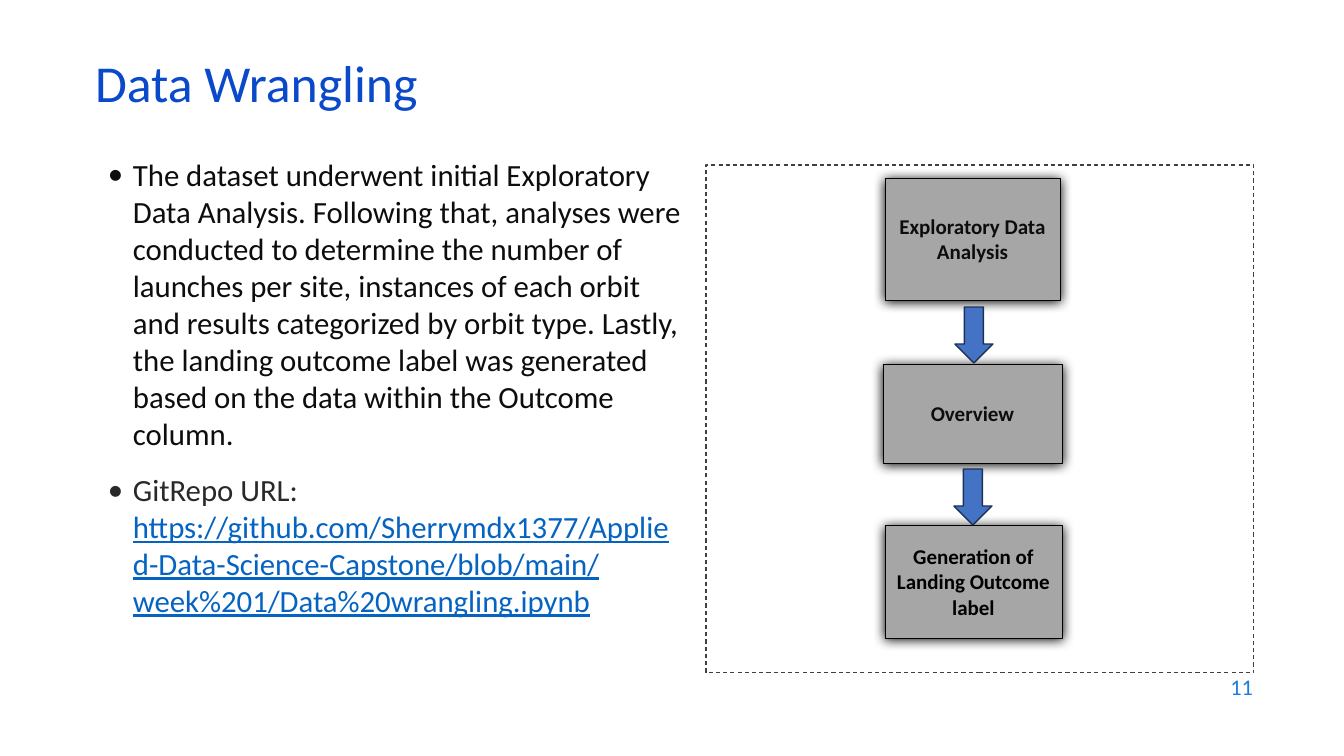
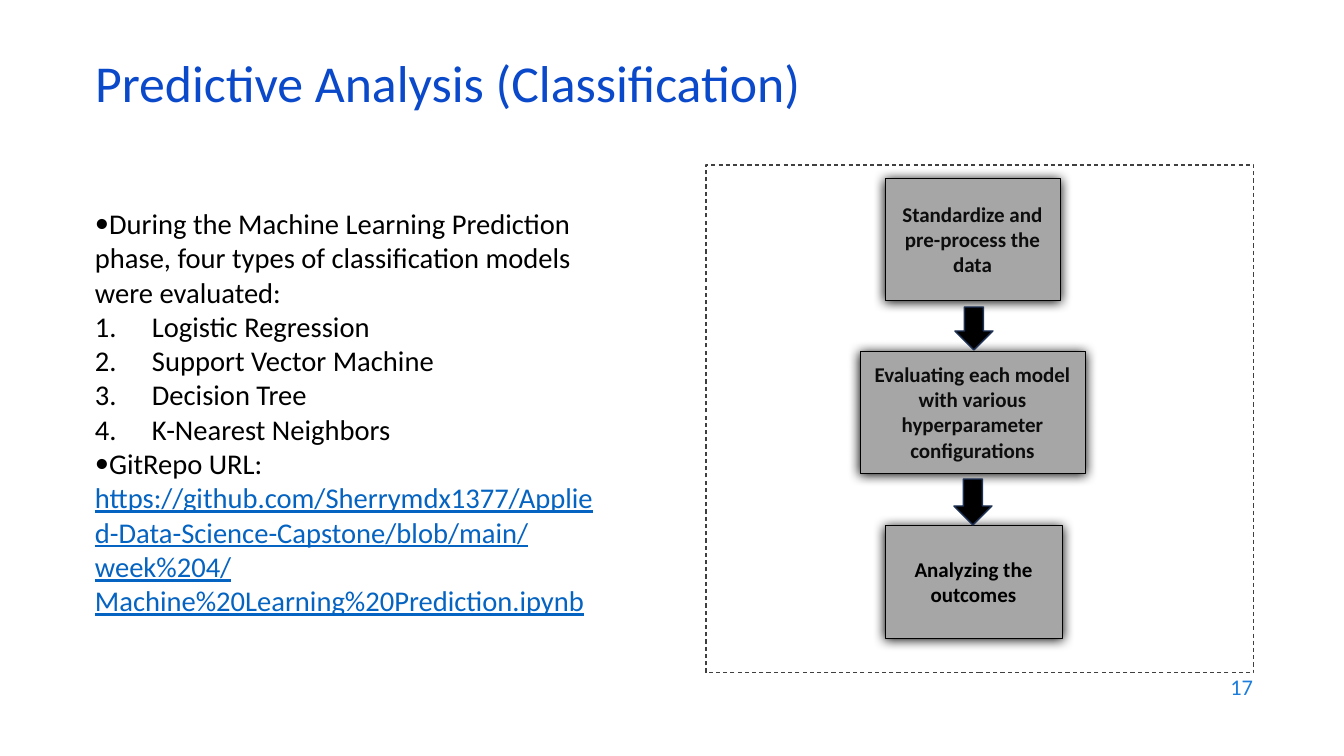
from lxml.etree import SubElement
from pptx import Presentation
from pptx.dml.color import RGBColor
from pptx.enum.dml import MSO_LINE
from pptx.enum.shapes import MSO_SHAPE as SHAPE
from pptx.enum.text import MSO_ANCHOR as ANCHOR, MSO_AUTO_SIZE, PP_ALIGN as ALIGN
from pptx.oxml.ns import qn
from pptx.util import Emu, Pt

REPO = "https://github.com/Sherrymdx1377/Applied-Data-Science-Capstone/blob/main/"
BLACK, INK, GREY_INK = "000000", "0D0D0D", "292929"
BLUE, LINK, NUMBER = "0B49CB", "0563C1", "1C7DDB"
BOX_FILL, FRAME_LINE = "A6A6A6", "404040"
ARROW_BLUE, ARROW_LINE = "4472C4", "1E3256"


def px(n):
    return Emu(round(n * 914400 / 100.8))


def rgb(value):
    return RGBColor.from_string(value)


def add_run(p, text, size=15, color=BLACK, bold=False, underline=False):
    r = p.add_run()
    r.text = text
    font = r.font
    font.name, font.size, font.bold = "Calibri", Pt(size), bold
    font.underline = underline
    font.color.rgb = rgb(color)


def set_bullet(p, bullet, left, hang):
    """Put a bullet character, or automatic numbers for "1.", before p."""
    pPr = p._p.get_or_add_pPr()
    pPr.set("marL", str(px(left)))
    pPr.set("indent", str(-px(hang)))
    if bullet == "1.":
        SubElement(pPr, qn("a:buAutoNum"), type="arabicPeriod")
    else:
        SubElement(pPr, qn("a:buFont"), typeface="Calibri")
        SubElement(pPr, qn("a:buChar"), char=bullet)


class Deck:
    """Holds the presentation, its style and the current slide."""

    def __init__(self):
        self.prs = Presentation()
        self.prs.slide_width, self.prs.slide_height = px(1344), px(756)

    def new_slide(self, title, number):
        """Start a slide with its title, page number and dashed frame."""
        self.s = self.prs.slides.add_slide(self.prs.slide_layouts[5])
        sp = self.s.shapes.title
        sp.left, sp.top, sp.width, sp.height = map(px, (85, 59, 1159, 60))
        p = self.frame_text(sp.text_frame, ANCHOR.MIDDLE).paragraphs[0]
        p.alignment, p.line_spacing = ALIGN.LEFT, 0.7
        add_run(p, title, size=37, color=BLUE)
        tf = self.text_box(961, 665, 302, 44, ANCHOR.MIDDLE)
        p = tf.paragraphs[0]
        p.alignment = ALIGN.RIGHT
        add_run(p, number, size=16, color=NUMBER)
        frame = self.shape(SHAPE.RECTANGLE, 706, 165, 548, 508, None, FRAME_LINE, 0.75)
        frame.line.dash_style = MSO_LINE.DASH

    def frame_text(self, tf, anchor):
        tf.word_wrap, tf.auto_size = True, MSO_AUTO_SIZE.NONE
        tf.vertical_anchor = anchor
        return tf

    def text_box(self, x, y, w, h, anchor=ANCHOR.TOP):
        box = self.s.shapes.add_textbox(px(x), px(y), px(w), px(h))
        return self.frame_text(box.text_frame, anchor)

    def shape(self, kind, x, y, w, h, fill, line, weight):
        sp = self.s.shapes.add_shape(kind, px(x), px(y), px(w), px(h))
        sp.shadow.inherit = False
        if fill:
            sp.fill.solid()
            sp.fill.fore_color.rgb = rgb(fill)
        else:
            sp.fill.background()
        sp.line.color.rgb, sp.line.width = rgb(line), Pt(weight)
        return sp

    def bullets(self, x, y, w, h, items, size, gap=0):
        """Write items of (bullet, left, hang, runs), each run (text, format)."""
        tf = self.text_box(x, y, w, h)
        for i, (bullet, left, hang, runs) in enumerate(items):
            p = tf.add_paragraph() if i else tf.paragraphs[0]
            set_bullet(p, bullet, left, hang)
            p.space_before = Pt(gap if i else 0)
            for text, fmt in runs:
                add_run(p, text, size=size, **fmt)

    def step(self, text, x, y, w, h, color=INK):
        """Add a grey process box with a soft shadow."""
        sp = self.shape(SHAPE.FLOWCHART_PROCESS, x, y, w, h, BOX_FILL, BLACK, 0.25)
        effects = sp._element.spPr.find(qn("a:effectLst"))
        shadow = SubElement(effects, qn("a:outerShdw"), blurRad=str(Pt(8.5)),
                            dist=str(Pt(1)), dir="5400000", rotWithShape="0")
        SubElement(shadow, qn("a:srgbClr"), val=BLACK)
        p = self.frame_text(sp.text_frame, ANCHOR.MIDDLE).paragraphs[0]
        p.alignment = ALIGN.CENTER
        add_run(p, text, color=color, bold=True)

    def flow(self, first, middle, last, middle_box, arrows, arrow_fill):
        """Stack three steps, joined by arrows given as (x, y, height)."""
        self.step(first, 885, 178, 175, 122)
        self.step(middle, *middle_box)
        self.step(last, 885, 525, 177, 113, color=BLACK)
        for x, y, h in arrows:
            self.shape(SHAPE.DOWN_ARROW, x, y, 38, h, arrow_fill, ARROW_LINE, 1)


def url_runs(file, color):
    return [("GitRepo URL: ", {"color": color}),
            (REPO + file, {"color": LINK, "underline": True})]


def wrangling_slide(deck):
    deck.new_slide("Data Wrangling", "11")
    summary = ("The dataset underwent initial Exploratory Data Analysis. Following that, "
               "analyses were conducted to determine the number of launches per site, "
               "instances of each orbit and results categorized by orbit type. Lastly, "
               "the landing outcome label was generated based on the data within the "
               "Outcome column.")
    items = [("•", 25, 25, [(summary, {"color": INK})]),
             ("•", 25, 25, url_runs("week%201/Data%20wrangling.ipynb", GREY_INK))]
    deck.bullets(98, 151, 595, 480, items, size=22, gap=14)
    deck.flow("Exploratory Data Analysis", "Overview",
              "Generation of Landing Outcome label", (883, 364, 179, 99),
              [(955, 307, 56), (954, 469, 56)], ARROW_BLUE)


def prediction_slide(deck):
    deck.new_slide("Predictive Analysis (Classification)", "17")
    intro = ("During the Machine Learning Prediction phase, four types of "
             "classification models were evaluated:")
    models = ["Logistic Regression", "Support Vector Machine", "Decision Tree",
              "K-Nearest Neighbors"]
    items = [("•", 0, 0, [(intro, {})]),
             *[("1.", 57, 57, [(model, {})]) for model in models],
             ("•", 0, 0, url_runs("week%204/Machine%20Learning%20Prediction.ipynb", BLACK))]
    deck.bullets(85, 201, 525, 480, items, size=20.4)
    deck.flow("Standardize and pre-process the data",
              "Evaluating each model with various hyperparameter configurations",
              "Analyzing the outcomes", (860, 351, 225, 122),
              [(955, 307, 43), (954, 479, 46)], BLACK)


def main():
    deck = Deck()
    wrangling_slide(deck)
    prediction_slide(deck)
    deck.prs.save("out.pptx")


if __name__ == "__main__":
    main()
